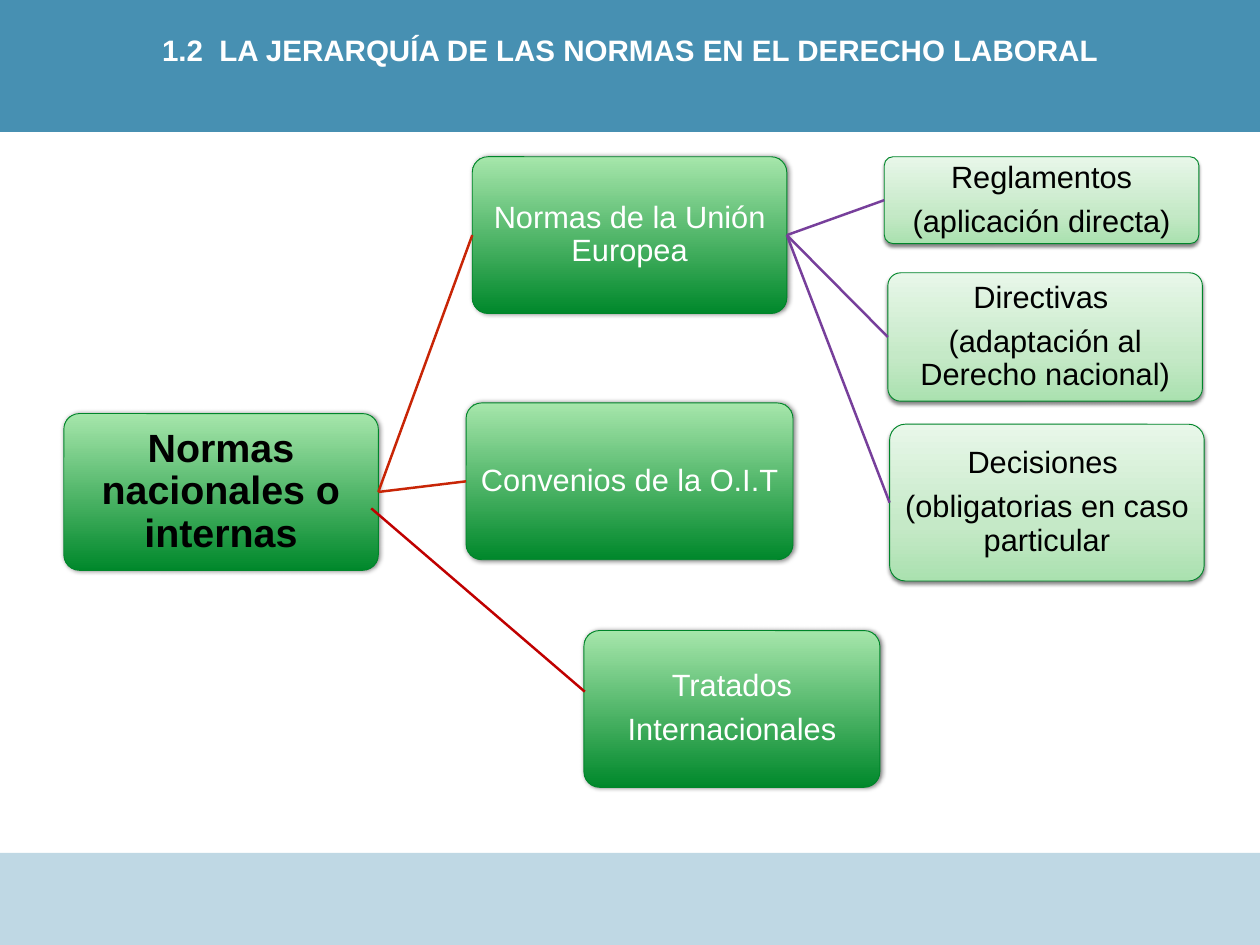
from lxml import etree
from pptx import Presentation
from pptx.dml.color import RGBColor
from pptx.enum import shapes, text
from pptx.oxml.ns import qn
from pptx.util import Inches, Pt

# Content
TITLE = "1.2  LA JERARQUÍA DE LAS NORMAS EN EL DERECHO LABORAL"
# name: (left, top, width, height, style, paragraphs)
BOXES = {
    "nacionales": (0.72, 4.67, 3.55, 1.77, "root", ["Normas nacionales o internas"]),
    "oit": (5.26, 4.55, 3.69, 1.77, "branch", ["Convenios de la O.I.T"]),
    "ue": (5.33, 1.77, 3.55, 1.77, "branch", ["Normas de la Unión Europea"]),
    "reglamentos": (9.98, 1.77, 3.55, 0.98, "leaf", ["Reglamentos", "(aplicación directa)"]),
    "directivas": (10.02, 3.08, 3.55, 1.45, "leaf",
                   ["Directivas ", "(adaptación al Derecho nacional)"]),
    "decisiones": (10.04, 4.79, 3.55, 1.77, "leaf",
                   ["Decisiones ", "(obligatorias en caso particular"]),
    "tratados": (6.59, 7.12, 3.34, 1.77, "branch", ["Tratados", "Internacionales"]),
}
LINKS = [("nacionales", "oit", "red"), ("nacionales", "ue", "red"),
         ("ue", "reglamentos", "purple"), ("ue", "directivas", "purple"),
         ("ue", "decisiones", "purple")]
TREATY_LINE = (4.19, 5.74, 6.6, 7.81)

# Theme: shadow is blur, distance (points), direction (degrees)
DEEP = dict(stops=[(0, "00882B"), (100, "A6E6AB")], shadow=(4, 1, 0))
PALE = dict(stops=[(0, "AAE1AF"), (35, "C5E9C7"), (100, "E8F7E9")], shadow=(3, 2, 90))
THEME = dict(
    font="Arial", band="2E81A8", outline="00852A",
    red="C82506", dark_red="C00000", purple="773F9B",
    title=dict(size=24, color="FFFFFF", bold=True),
    root=dict(look=DEEP, size=32, color="000000", bold=True),
    branch=dict(look=DEEP, size=25, color="FFFFFF", bold=False),
    leaf=dict(look=PALE, size=25, color="000000", bold=False),
)
W, H = 14.22, 10.67
LEFT_SITE, RIGHT_SITE = 1, 3


def rgb(value):
    return RGBColor.from_string(value)


def add_color(parent, value, alpha=None):
    clr = etree.SubElement(parent, qn("a:srgbClr"), val=value)
    if alpha is not None:
        etree.SubElement(clr, qn("a:alpha"), val=str(alpha * 1000))


def write(tf, lines, size, color, bold, spacing=1.0, after=0):
    tf.word_wrap = True
    tf.auto_size = text.MSO_AUTO_SIZE.NONE
    for i, line in enumerate(lines):
        p = tf.paragraphs[0] if i == 0 else tf.add_paragraph()
        p.alignment = text.PP_ALIGN.CENTER
        p.line_spacing, p.space_after = spacing, Pt(after)
        r = p.add_run()
        r.text = line
        f = r.font
        f.name, f.size, f.bold = THEME["font"], Pt(size), bold
        f.color.rgb = rgb(color)


def set_margins(tf, side, top):
    tf.margin_left = tf.margin_right = tf.margin_bottom = Inches(side)
    tf.margin_top = Inches(top)


def fill_band(sp, alpha):
    sp.fill.solid()
    sp.fill.fore_color.rgb = rgb(THEME["band"])
    clr = sp._element.spPr.find(".//" + qn("a:srgbClr"))
    etree.SubElement(clr, qn("a:alpha"), val=str(alpha * 1000))
    sp.line.fill.background()


def add_box(s, left, top, width, height, style, lines):
    sp = s.shapes.add_shape(shapes.MSO_SHAPE.ROUNDED_RECTANGLE,
                            *map(Inches, (left, top, width, height)))
    sp.adjustments[0] = 0.1
    fmt = dict(THEME[style])
    look = fmt.pop("look")
    sp.line.color.rgb, sp.line.width = rgb(THEME["outline"]), Pt(0.75)

    # Gradient from bottom to top
    sp.fill.gradient()
    sp.fill.gradient_angle = 90
    stops = sp._element.spPr.find(".//" + qn("a:gsLst"))
    for old in list(stops):
        stops.remove(old)
    for pos, color in look["stops"]:
        add_color(etree.SubElement(stops, qn("a:gs"), pos=str(pos * 1000)), color)

    # Soft shadow
    sp.shadow.inherit = False
    blur, dist, angle = look["shadow"]
    effects = sp._element.spPr.find(qn("a:effectLst"))
    shadow = etree.SubElement(effects, qn("a:outerShdw"), blurRad=str(Pt(blur)),
                              dist=str(Pt(dist)), dir=str(angle * 60000), rotWithShape="0")
    add_color(shadow, "000000", 50)

    tf = sp.text_frame
    set_margins(tf, 0.02, 0.02)
    tf.vertical_anchor = text.MSO_ANCHOR.MIDDLE
    write(tf, lines, spacing=0.9, after=0.35 * fmt["size"], **fmt)
    return sp


def add_line(s, color, ends=(0, 0, 0, 0)):
    c = s.shapes.add_connector(shapes.MSO_CONNECTOR.STRAIGHT, *map(Inches, ends))
    c.line.color.rgb, c.line.width = rgb(THEME[color]), Pt(2)
    etree.SubElement(c._element.spPr, qn("a:effectLst"))
    return c


def main():
    prs = Presentation()
    prs.slide_width, prs.slide_height = Inches(W), Inches(H)
    s = prs.slides.add_slide(prs.slide_layouts[5])

    # Title band
    title = s.shapes.title
    title.left, title.top = Inches(0), Inches(0)
    title.width, title.height = Inches(W), Inches(1.49)
    fill_band(title, 88)
    tf = title.text_frame
    set_margins(tf, 0, 0.36)
    tf.vertical_anchor = text.MSO_ANCHOR.TOP
    write(tf, [TITLE], **THEME["title"])

    # Footer band
    footer = s.shapes.add_shape(shapes.MSO_SHAPE.RECTANGLE, Inches(0), Inches(9.63),
                                Inches(W), Inches(H - 9.63))
    footer.shadow.inherit = False
    fill_band(footer, 30)

    # Hierarchy of norms
    boxes = {name: add_box(s, *box) for name, box in BOXES.items()}
    for start, end, color in LINKS:
        c = add_line(s, color)
        c.begin_connect(boxes[start], RIGHT_SITE)
        c.end_connect(boxes[end], LEFT_SITE)
    add_line(s, "dark_red", TREATY_LINE)

    prs.save("out.pptx")


if __name__ == "__main__":
    main()
